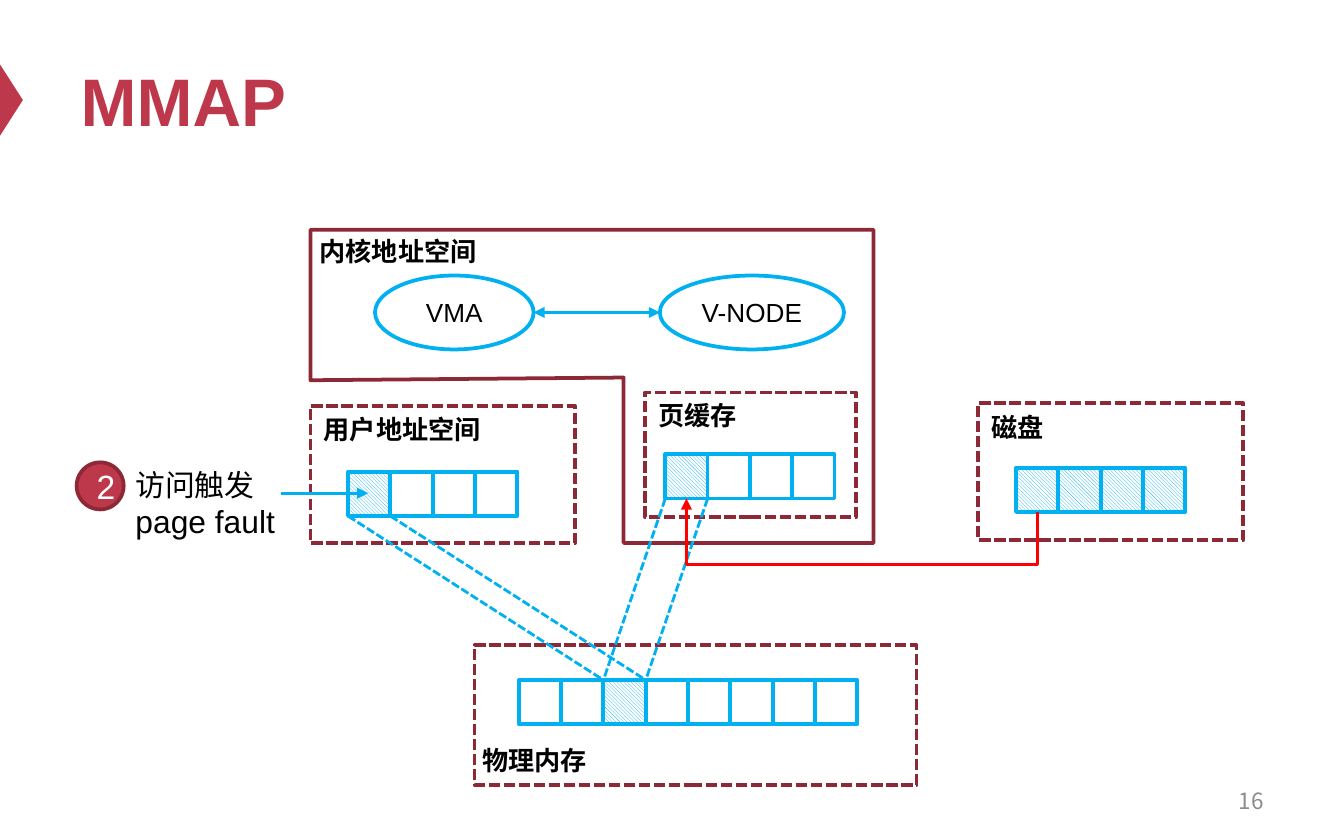
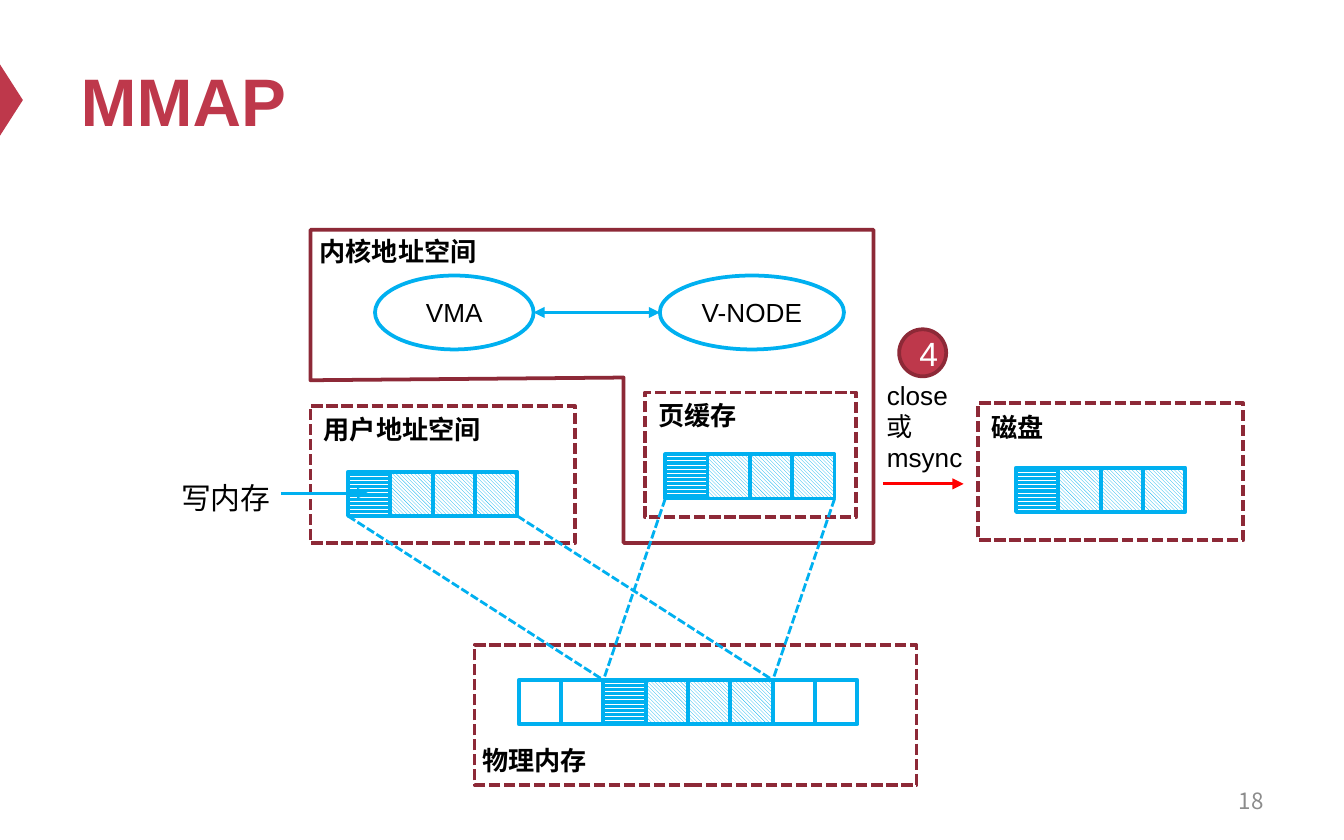
from lxml import etree
from pptx import Presentation
from pptx.dml.color import RGBColor
from pptx.enum import dml, shapes, text
from pptx.oxml.ns import qn
from pptx.util import Inches, Pt

CRIMSON = RGBColor(0xBE, 0x38, 0x4B)
MAROON = RGBColor(0x8D, 0x29, 0x37)
BLUE = RGBColor(0x00, 0xB0, 0xF0)
RED = RGBColor(0xFF, 0x00, 0x00)
GREY = RGBColor(0x8C, 0x8C, 0x8C)
BLACK = RGBColor(0, 0, 0)
WHITE = RGBColor(0xFF, 0xFF, 0xFF)

LATIN, CJK = "Arial", "Noto Sans CJK SC"
TITLE = dict(size=Pt(36), bold=True, name=LATIN)
LABEL = dict(size=Pt(14), bold=True, name=LATIN)
NODE = dict(size=Pt(14), name=LATIN)
NOTE = dict(size=Pt(16), name=LATIN)
CALL = dict(size=Pt(17), name=LATIN)
BADGE = dict(size=Pt(18), name=LATIN)
NUMBER = dict(size=Pt(12), name=CJK)

SHAPE = shapes.MSO_SHAPE
STRAIGHT = shapes.MSO_CONNECTOR.STRAIGHT
ALIGN = text.PP_ALIGN
DASH = dml.MSO_LINE.SQUARE_DOT
LOADED = dml.MSO_PATTERN.DARK_DOWNWARD_DIAGONAL
DIRTY = dml.MSO_PATTERN.DARK_HORIZONTAL

CELL_W, CELL_H = Inches(1.26) // 4, Inches(0.33)
MAPPED_AT = 2  # first physical page that backs the mapping


def write(p, words, style, color):
    r = p.add_run()
    r.text = words
    for key, value in style.items():
        setattr(r.font, key, value)
    r.font.color.rgb = color
    etree.SubElement(r.font._element, qn("a:ea"), typeface=CJK)


def text_box(s, box, runs, color=BLACK):
    tf = s.shapes.add_textbox(*map(Inches, box)).text_frame
    tf.word_wrap = True
    tf.auto_size = text.MSO_AUTO_SIZE.SHAPE_TO_FIT_TEXT
    for words, style in runs:
        write(tf.paragraphs[0], words, style, color)
    return tf


def set_line(sp, color, width, dash=None):
    sp.line.color.rgb = color
    sp.line.width = Pt(width)
    if dash:
        sp.line.dash_style = dash


def outline(sp, color, dash=None):
    sp.shadow.inherit = False
    sp.fill.background()
    set_line(sp, color, 2, dash)
    return sp


def connect(s, kind, ends, color, dash=None, arrows=()):
    """Draw a connector between EMU points; arrows names headEnd, tailEnd."""
    c = s.shapes.add_connector(kind, *ends)
    set_line(c, color, 1.5, dash)
    spPr = c.element.spPr
    for end in arrows:
        etree.SubElement(spPr.find(qn("a:ln")), qn("a:" + end), type="triangle")
    etree.SubElement(spPr, qn("a:effectLst"))
    return c


def page_strip(s, left, top, pages):
    """Draw a row of page cells; each entry is a pattern or None."""
    cells = []
    for i, pattern in enumerate(pages):
        cell = s.shapes.add_shape(SHAPE.RECTANGLE, left + i * CELL_W, top,
                                  CELL_W, CELL_H)
        outline(cell, BLUE)
        if pattern is not None:
            cell.fill.patterned()
            cell.fill.pattern = pattern
            cell.fill.fore_color.rgb = BLUE
            cell.fill.back_color.rgb = WHITE
        cells.append(cell)
    return cells


def region(s, box, label, label_at, strip_at, pages):
    """Dashed box with a label and page strip at offsets from its corner."""
    x, y = box[:2]
    outline(s.shapes.add_shape(SHAPE.RECTANGLE, *map(Inches, box)), MAROON, DASH)
    text_box(s, (x + label_at[0], y + label_at[1], 1.42, 0.34), [(label, LABEL)])
    return page_strip(s, Inches(x + strip_at[0]), Inches(y + strip_at[1]), pages)


def kernel_space(s, x, y):
    """L-shaped kernel area holding the two linked structures."""
    corners = [(0, 0), (4.19, 0), (4.19, 2.33), (2.33, 2.33), (2.33, 1.1), (0, 1.12)]
    points = [(Inches(x + dx), Inches(y + dy)) for dx, dy in corners]
    builder = s.shapes.build_freeform(*points[0])
    builder.add_line_segments(points[1:], close=True)
    outline(builder.convert_to_shape(), MAROON)
    text_box(s, (x - 0.03, y - 0.01, 1.42, 0.34), [("内核地址空间", LABEL)])

    nodes = []
    for name, dx, width in (("VMA", 0.48, 1.18), ("V-NODE", 2.6, 1.37)):
        node = s.shapes.add_shape(SHAPE.OVAL, Inches(x + dx), Inches(y + 0.34),
                                  Inches(width), Inches(0.55))
        outline(node, BLUE)
        p = node.text_frame.paragraphs[0]
        p.alignment = ALIGN.CENTER
        write(p, name, NODE, BLACK)
        nodes.append(node)
    vma, vnode = nodes
    middle = vma.top + vma.height // 2
    connect(s, STRAIGHT, (vma.left + vma.width, middle, vnode.left, middle), BLUE,
            arrows=("headEnd", "tailEnd"))


def projection(s, virtual, physical):
    """Dashed rays from the outer corners of virtual pages to physical ones."""
    first, last = virtual[0], virtual[-1]
    target, end = physical[0], physical[-1]
    bottom = first.top + CELL_H
    for x1, x2 in ((first.left, target.left),
                   (last.left + CELL_W, end.left + CELL_W)):
        connect(s, STRAIGHT, (x1, bottom, x2, target.top), BLUE, DASH)


def memory_map(s, user, cache, memory, disk, mapped):
    """Whole diagram; mapped is the number of pages in physical memory."""
    kernel_space(s, 2.31, 1.71)
    user_cells = region(s, (2.31, 3.02, 1.97, 1.02), "用户地址空间",
                        (0, 0.01), (0.28, 0.49), user)
    cache_cells = region(s, (4.8, 2.92, 1.57, 0.93), "页缓存",
                         (0, 0), (0.15, 0.46), cache)
    memory_cells = region(s, (3.53, 4.8, 3.29, 1.04), "物理内存",
                          (-0.04, 0.69), (0.33, 0.26), memory)
    disk_cells = region(s, (7.28, 3, 1.97, 1.02), "磁盘",
                        (0, 0.01), (0.28, 0.48), disk)
    for cells in (user_cells, cache_cells):
        projection(s, cells[:mapped], memory_cells[MAPPED_AT:MAPPED_AT + mapped])
    arrow(s, 2.09, 2.74, 3.67, BLUE)
    return cache_cells, disk_cells


def arrow(s, x1, x2, y, color):
    connect(s, STRAIGHT, map(Inches, (x1, y, x2, y)), color, arrows=["tailEnd"])


def load_arrow(s, source, target, bend_y):
    """Bent arrow leaving source downwards and entering target from below."""
    x1, x2 = (sp.left + sp.width // 2 for sp in (source, target))
    y1, y2 = (sp.top + sp.height for sp in (source, target))
    c = connect(s, shapes.MSO_CONNECTOR.ELBOW, (x1, y1, x2, y2), RED,
                arrows=["tailEnd"])
    c.begin_connect(source, 2)
    c.end_connect(target, 2)
    width, height = abs(y1 - y2), abs(x1 - x2)
    c.left, c.top = (x1 + x2 - width) // 2, (y1 + y2 - height) // 2
    c.width, c.height = width, height
    xfrm = c.element.spPr.find(qn("a:xfrm"))
    for key, value in dict(rot="5400000", flipH="1", flipV="0").items():
        xfrm.set(key, value)
    geometry = c.element.spPr.find(qn("a:prstGeom"))
    guides = geometry.find(qn("a:avLst"))
    if guides is None:
        guides = etree.SubElement(geometry, qn("a:avLst"))
    ratio = round((bend_y - y1) / (y2 - y1) * 100000)
    etree.SubElement(guides, qn("a:gd"), name="adj1", fmla=f"val {ratio}")


def step_badge(s, x, y, step):
    sp = s.shapes.add_shape(SHAPE.FLOWCHART_CONNECTOR, Inches(x), Inches(y),
                            Inches(0.35), Inches(0.35))
    outline(sp, MAROON)
    sp.fill.solid()
    sp.fill.fore_color.rgb = CRIMSON
    p = sp.text_frame.paragraphs[0]
    p.alignment = ALIGN.CENTER
    write(p, step, BADGE, WHITE)


def style_layout(layout, s):
    """Place the title and move the edge marker from slide s to its layout."""
    title = next(ph for ph in layout.placeholders
                 if ph.placeholder_format.type == shapes.PP_PLACEHOLDER.TITLE)
    box = dict(left=0.5, top=0.25, width=9, height=0.98)
    for key, value in box.items():
        setattr(title, key, Inches(value))
    marker = s.shapes.add_shape(SHAPE.ISOSCELES_TRIANGLE,
                                *map(Inches, (-0.18, 0.66, 0.53, 0.17)))
    marker.rotation = 90
    marker.shadow.inherit = False
    marker.fill.solid()
    marker.fill.fore_color.rgb = CRIMSON
    marker.line.fill.background()
    layout.shapes.element.append(marker.element)


def new_slide(prs, number):
    layout = prs.slide_layouts[5]
    s = prs.slides.add_slide(layout)
    if len(prs.slides) == 1:
        style_layout(layout, s)
    tf = s.shapes.title.text_frame
    tf.vertical_anchor = text.MSO_ANCHOR.MIDDLE
    p = tf.paragraphs[0]
    p.alignment = ALIGN.LEFT
    write(p, "MMAP", TITLE, CRIMSON)
    tf = text_box(s, (7.17, 5.79, 2.33, 0.33), [(number, NUMBER)], GREY)
    tf.auto_size = text.MSO_AUTO_SIZE.NONE
    tf.vertical_anchor = text.MSO_ANCHOR.MIDDLE
    tf.paragraphs[0].alignment = ALIGN.RIGHT
    return s


def page_fault_slide(prs):
    s = new_slide(prs, "16")
    one_page = [LOADED] + [None] * 3
    memory = [None] * MAPPED_AT + [LOADED] + [None] * 5
    cache, disk = memory_map(s, one_page, one_page, memory, [LOADED] * 4, mapped=1)
    load_arrow(s, disk[0], cache[0], Inches(4.2))
    text_box(s, (0.91, 3.42, 1.33, 0.66), [("访问触发 ", NOTE), ("page fault", CALL)])
    step_badge(s, 0.57, 3.44, "2")


def write_back_slide(prs):
    s = new_slide(prs, "18")
    pages = [DIRTY] + [LOADED] * 3
    memory = [None] * MAPPED_AT + pages + [None] * 2
    memory_map(s, pages, pages, memory, pages, mapped=4)
    arrow(s, 6.57, 7.17, 3.6, RED)
    text_box(s, (6.5, 2.77, 0.87, 0.81), [("close 或 msync", NODE)])
    text_box(s, (1.25, 3.52, 0.97, 0.37), [("写内存", NOTE)])
    step_badge(s, 6.69, 2.45, "4")


def main():
    prs = Presentation()
    prs.slide_width, prs.slide_height = Inches(10), Inches(6.25)
    page_fault_slide(prs)
    write_back_slide(prs)
    prs.save("out.pptx")


if __name__ == "__main__":
    main()
